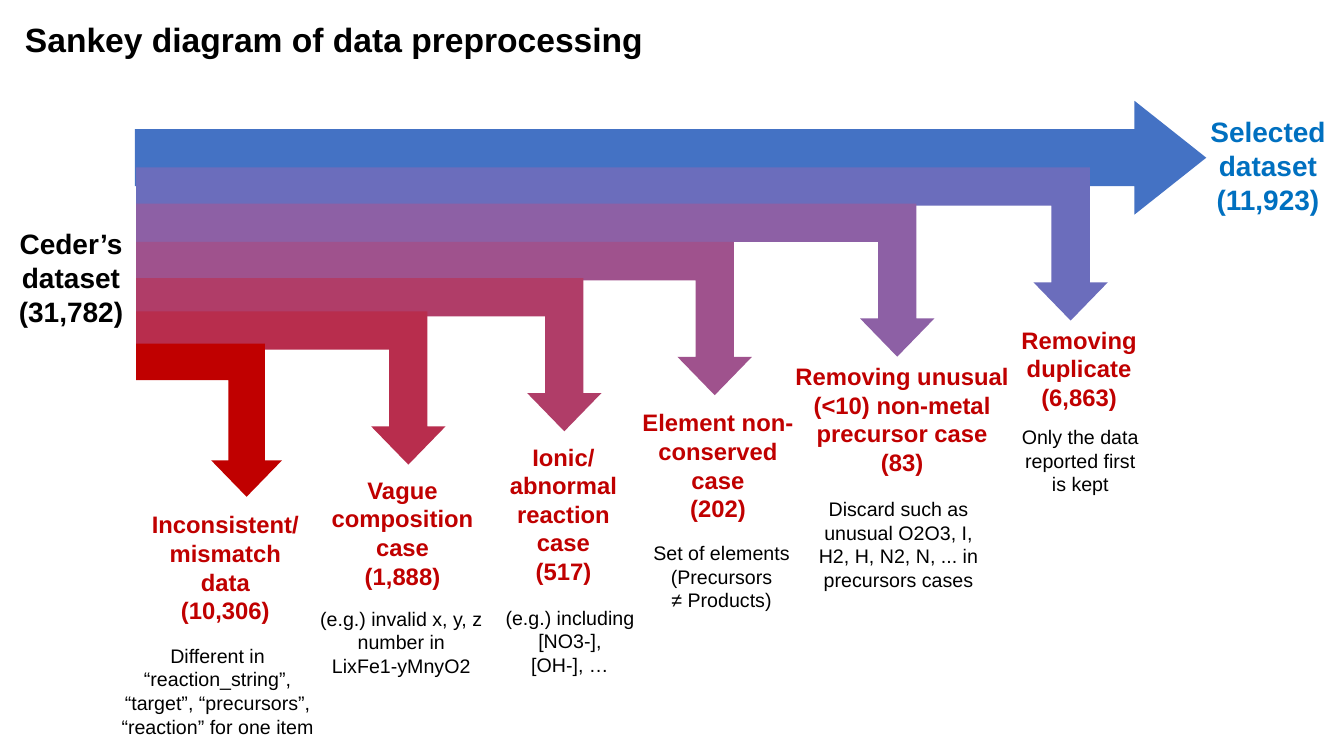
"""Build a slide with a Sankey diagram of data preprocessing."""
import pptx
import pptx.dml.color
import pptx.enum.shapes
import pptx.enum.text
import pptx.oxml.ns
import pptx.util
from dataclasses import dataclass

Cm = pptx.util.Cm
SHAPE = pptx.enum.shapes.MSO_SHAPE
ALIGN = pptx.enum.text.PP_ALIGN


@dataclass(frozen=True)
class Theme:
    """Colours, font and type sizes."""
    font: str = "Arial"
    black: str = "000000"
    red: str = "C00000"
    blue: str = "0070C0"
    main: str = "4472C4"
    head: int = 24
    end: int = 20
    step: int = 17
    note: int = 14


THEME = Theme()
SIZE = (33.87, 19.05)
HEAD = ("Sankey diagram of data preprocessing", (0.38, 0.36, 16.71, 1.27))
START = ("Ceder’s\ndataset\n(31,782)", (0.2, 5.59, 3.18, 2.82))
GOAL = ("Selected dataset\n(11,923)", (30.23, 2.77, 3.45, 2.82))
MAIN = (3.4, 2.54, 27, 2.87)
LEFT, DROP = 3.43, 3.86

STEPS = [
    dict(top=4.22, width=24.49, fill="6B6DBC",
         name="Removing duplicate\n(6,863)", spot=(25.25, 8.08, 3.89, 2.44),
         note="Only the data reported first is kept",
         place=(25.5, 10.59, 3.45, 2.06)),
    dict(top=5.13, width=20.12, fill="8D60A5",
         name="Removing unusual (<10) non-metal precursor case\n(83)",
         spot=(19.71, 8.99, 6.05, 3.18),
         note="Discard such as unusual O2O3, I, H2, H, N2, N, ... in precursors cases",
         place=(20.32, 12.4, 4.65, 2.64)),
    dict(top=6.1, width=15.52, fill="9F528D",
         name="Element non-conserved case\n(202)", spot=(15.77, 10.16, 4.65, 3.18),
         note="Set of elements (Precursors\n≠ Products)",
         place=(15.67, 13.51, 5.03, 2.06)),
    dict(top=7.01, width=11.73, fill="B03D68",
         name="Ionic/\nabnormal reaction case\n(517)", spot=(12.09, 11.02, 4.22, 3.89),
         note="(e.g.) including\n[NO3-],\n[OH-], …",
         place=(12.04, 15.14, 4.65, 2.06)),
    dict(top=7.85, width=7.8, fill="B82D4D",
         name="Vague composition case\n(1,888)", spot=(7.87, 11.86, 4.55, 3.18),
         note="(e.g.) invalid x, y, z number in\nLixFe1-yMnyO2",
         place=(7.32, 15.16, 5.59, 2.06)),
    dict(top=8.66, width=3.68, fill="C00000",
         name="Inconsistent/\nmismatch\ndata\n(10,306)", spot=(3.56, 12.73, 4.24, 3.18),
         wrap=False,
         note="Different in “reaction_string”, “target”, “precursors”, “reaction” for one item",
         place=(2.69, 16.1, 5.59, 2.64)),
]


def tint(code):
    """Turn a hex code into a colour."""
    return pptx.dml.color.RGBColor.from_string(code)


def add_arrow(slide, kind, box, fill, ratios):
    """Draw a flat arrow with the given proportions."""
    arrow = slide.shapes.add_shape(kind, *map(Cm, box))
    arrow.shadow.inherit = False
    arrow.fill.solid()
    arrow.fill.fore_color.rgb = tint(fill)
    arrow.line.fill.background()
    for i, ratio in enumerate(ratios):
        arrow.adjustments[i] = ratio
    return arrow


def add_text(slide, text, box, size, color, bold=True, wrap=True, align=ALIGN.CENTER):
    """Place a text box with one paragraph per line."""
    frame = slide.shapes.add_textbox(*map(Cm, box)).text_frame
    frame.word_wrap = wrap
    frame.auto_size = pptx.enum.text.MSO_AUTO_SIZE.SHAPE_TO_FIT_TEXT
    for i, line in enumerate(text.split("\n")):
        para = frame.add_paragraph() if i else frame.paragraphs[0]
        para.alignment = align
        run = para.add_run()
        run.text = line
        run.font.name = THEME.font
        run.font.size = pptx.util.Pt(size)
        run.font.bold = bold
        run.font.color.rgb = tint(color)


def add_step(slide, step):
    """Draw one branch that turns down, with its name and note."""
    box = (LEFT, step["top"], step["width"], DROP)
    arrow = add_arrow(slide, SHAPE.BENT_UP_ARROW, box, step["fill"], (0.25, 0.243, 0.25))
    frame = arrow._element.spPr.find(pptx.oxml.ns.qn("a:xfrm"))
    frame.set("flipV", "1")
    add_text(slide, step["name"], step["spot"], THEME.step, THEME.red,
             wrap=step.get("wrap", True))
    add_text(slide, step["note"], step["place"], THEME.note, THEME.black, bold=False)


def main():
    """Build and save the slide."""
    deck = pptx.Presentation()
    deck.slide_width, deck.slide_height = map(Cm, SIZE)
    slide = deck.slides.add_slide(deck.slide_layouts[6])
    add_text(slide, *HEAD, THEME.head, THEME.black, wrap=False, align=ALIGN.LEFT)
    add_arrow(slide, SHAPE.RIGHT_ARROW, MAIN, THEME.main, (0.5, 0.631))
    for step in STEPS:
        add_step(slide, step)
    add_text(slide, *START, THEME.end, THEME.black, wrap=False)
    add_text(slide, *GOAL, THEME.end, THEME.blue)
    deck.save("out.pptx")


if __name__ == "__main__":
    main()
